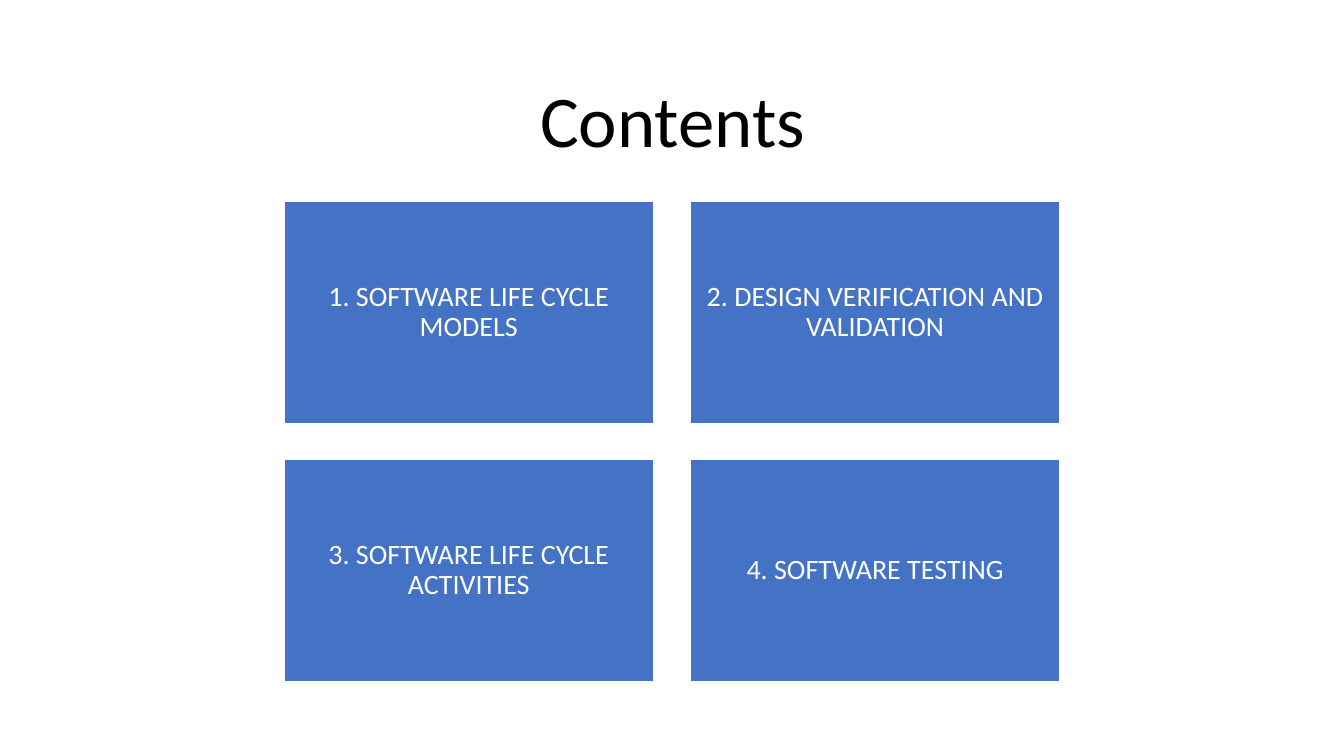
"""Build a contents slide with a grid of four topic cards."""
from dataclasses import dataclass

from pptx import Presentation
from pptx.dml.color import RGBColor
from pptx.enum.shapes import MSO_SHAPE
from pptx.enum.text import MSO_ANCHOR, PP_ALIGN
from pptx.shapes.autoshape import Shape
from pptx.slide import Slide
from pptx.util import Inches, Pt

RECT = MSO_SHAPE.RECTANGLE
MIDDLE = MSO_ANCHOR.MIDDLE
CENTER = PP_ALIGN.CENTER
BLACK = RGBColor(0x00, 0x00, 0x00)
WHITE = RGBColor(0xFF, 0xFF, 0xFF)
BLUE = RGBColor(0x44, 0x72, 0xC4)
FONT = "Calibri"

LEFT, TOP = 2.82, 2.0
WIDTH, HEIGHT = 3.66, 2.2
STEP_X, STEP_Y = 4.03, 2.56
COLS = 2
TOPICS = (
    "SOFTWARE LIFE CYCLE MODELS",
    "DESIGN VERIFICATION AND VALIDATION",
    "SOFTWARE LIFE CYCLE ACTIVITIES",
    "SOFTWARE TESTING",
)


@dataclass(frozen=True)
class Card:
    text: str
    left: float
    top: float


def set_text(shape: Shape, text: str, *, size: float, color: RGBColor,
             pad_x: float = 0.1, pad_y: float = 0.05) -> None:
    frame = shape.text_frame
    frame.word_wrap = True
    frame.vertical_anchor = MIDDLE
    frame.margin_left = frame.margin_right = Inches(pad_x)
    frame.margin_top = frame.margin_bottom = Inches(pad_y)
    para = frame.paragraphs[0]
    para.alignment = CENTER
    para.line_spacing = 0.9
    run = para.add_run()
    run.text = text
    run.font.name = FONT
    run.font.size = Pt(size)
    run.font.color.rgb = color


def add_title(slide: Slide, text: str) -> None:
    box = slide.shapes.add_textbox(
        Inches(0.92), Inches(0.61), Inches(11.5), Inches(1.24))
    set_text(box, text, size=52, color=BLACK)


def add_card(slide: Slide, card: Card) -> None:
    shape = slide.shapes.add_shape(
        RECT, Inches(card.left), Inches(card.top), Inches(WIDTH), Inches(HEIGHT))
    shape.shadow.inherit = False
    shape.fill.solid()
    shape.fill.fore_color.rgb = BLUE
    shape.line.color.rgb = WHITE
    shape.line.width = Pt(1)
    set_text(shape, card.text, size=20, color=WHITE, pad_x=0.08, pad_y=0.08)


def main() -> None:
    deck = Presentation()
    deck.slide_width, deck.slide_height = Inches(13.33), Inches(7.5)
    slide = deck.slides.add_slide(deck.slide_layouts[6])
    add_title(slide, "Contents")
    for i, topic in enumerate(TOPICS):
        row, col = divmod(i, COLS)
        add_card(slide, Card(f"{i + 1}. {topic}", LEFT + col * STEP_X, TOP + row * STEP_Y))
    deck.save("out.pptx")


if __name__ == "__main__":
    main()
